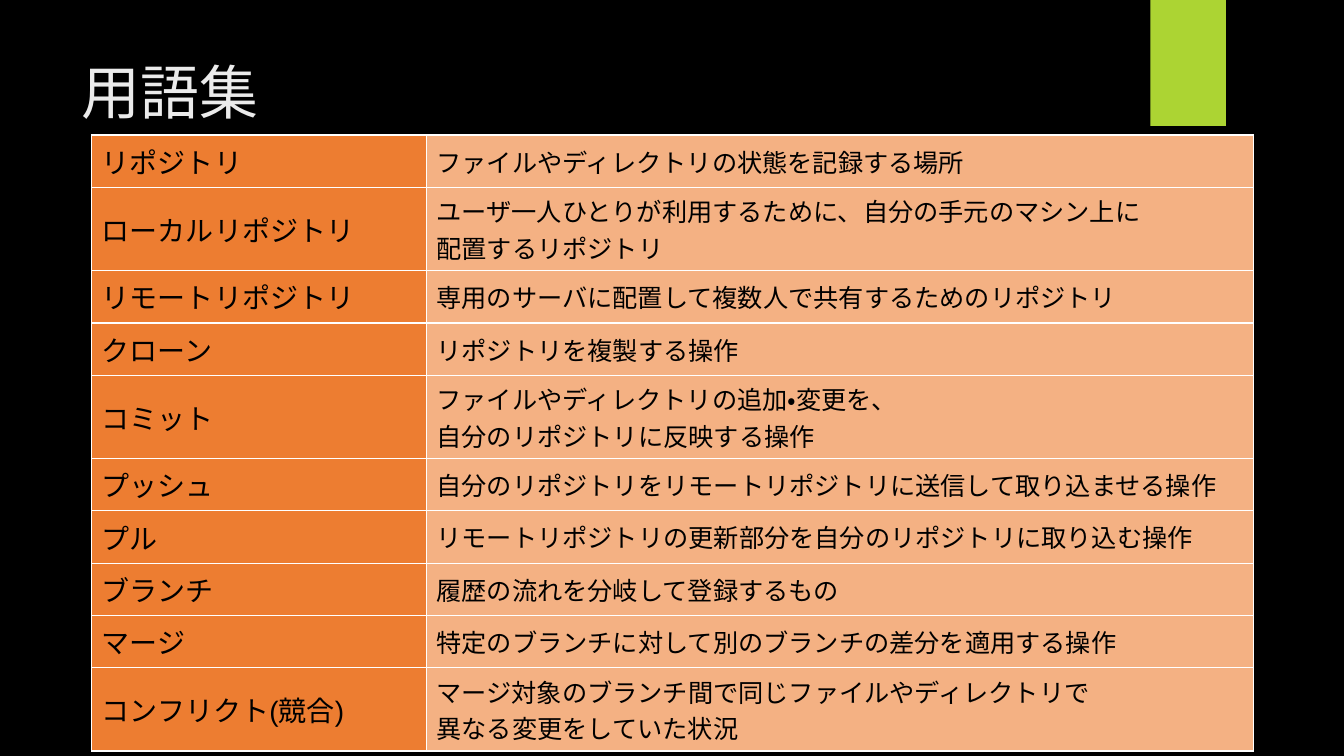
"""Build the glossary slide: a title, a green tab and a two-column table of terms."""
from lxml import etree
from pptx import Presentation
from pptx.dml.color import RGBColor
from pptx.enum.lang import MSO_LANGUAGE_ID
from pptx.enum.shapes import MSO_SHAPE
from pptx.enum.text import MSO_ANCHOR, MSO_AUTO_SIZE, PP_ALIGN
from pptx.oxml.ns import qn
from pptx.util import Inches, Pt

RECTANGLE = MSO_SHAPE.RECTANGLE
TOP, MIDDLE = MSO_ANCHOR.TOP, MSO_ANCHOR.MIDDLE
LEFT = PP_ALIGN.LEFT
NO_FIT = MSO_AUTO_SIZE.NONE
JAPANESE = MSO_LANGUAGE_ID.JAPANESE

COLORS = {
    "background": "000000",
    "title": "EBEBEB",
    "tab": "ACD433",
    "term": "ED7D31",
    "meaning": "F4B183",
    "text": "000000",
    "border": "FFFFFF",
}
ARIAL, SPARTAN = "Arial", "League Spartan"
COLUMN_WIDTHS = (3.32, 8.2)
ROW_HEIGHTS = {1: 0.52, 2: 0.74}

GLOSSARY = [
    ("リポジトリ", SPARTAN, ["ファイルやディレクトリの状態を記録する場所"]),
    ("ローカルリポジトリ", SPARTAN,
     ["ユーザ一人ひとりが利用するために、自分の手元のマシン上に", "配置するリポジトリ"]),
    ("リモートリポジトリ", SPARTAN, ["専用のサーバに配置して複数人で共有するためのリポジトリ"]),
    ("クローン", ARIAL, ["リポジトリを複製する操作"]),
    ("コミット", SPARTAN,
     ["ファイルやディレクトリの追加・変更を、", "自分のリポジトリに反映する操作"]),
    ("プッシュ", ARIAL, ["自分のリポジトリをリモートリポジトリに送信して取り込ませる操作"]),
    ("プル", ARIAL, ["リモートリポジトリの更新部分を自分のリポジトリに取り込む操作"]),
    ("ブランチ", ARIAL, ["履歴の流れを分岐して登録するもの"]),
    ("マージ", ARIAL, ["特定のブランチに対して別のブランチの差分を適用する操作"]),
    ("コンフリクト(競合)", ARIAL,
     ["マージ対象のブランチ間で同じファイルやディレクトリで", "異なる変更をしていた状況"]),
]


def write_text(frame, lines, *, size, font, color, anchor):
    """Fill a text frame with one left-aligned paragraph per line."""
    frame.vertical_anchor = anchor
    for index, line in enumerate(lines):
        para = frame.add_paragraph() if index else frame.paragraphs[0]
        para.alignment = LEFT
        span = para.add_run()
        span.text = line
        span.font.size = Pt(size)
        span.font.name = font
        span.font.bold = False
        span.font.language_id = JAPANESE
        span.font.color.rgb = RGBColor.from_string(COLORS[color])


def add_borders(cell):
    """Draw a thin line on all four sides of a table cell."""
    properties = cell._tc.get_or_add_tcPr()
    for side in ("a:lnL", "a:lnR", "a:lnT", "a:lnB"):
        line = etree.SubElement(properties, qn(side), w=str(Pt(1)))
        fill = etree.SubElement(line, qn("a:solidFill"))
        etree.SubElement(fill, qn("a:srgbClr"), val=COLORS["border"])


deck = Presentation()
deck.slide_width, deck.slide_height = Inches(13.33), Inches(7.5)
page = deck.slides.add_slide(deck.slide_layouts[5])
page.background.fill.solid()
page.background.fill.fore_color.rgb = RGBColor.from_string(COLORS["background"])

tab = page.shapes.add_shape(RECTANGLE, Inches(11.41), 0, Inches(0.75), Inches(1.25))
tab.shadow.inherit = False
tab.fill.solid()
tab.fill.fore_color.rgb = RGBColor.from_string(COLORS["tab"])
tab.line.fill.background()

title = page.shapes.title
title.left, title.top = Inches(0.71), Inches(0.5)
title.width, title.height = Inches(10.29), Inches(1.53)
title.text_frame.auto_size = NO_FIT
write_text(title.text_frame, ["用語集"], size=42, font=SPARTAN, color="title", anchor=TOP)

heights = [ROW_HEIGHTS[len(meaning)] for _, _, meaning in GLOSSARY]
table = page.shapes.add_table(
    len(GLOSSARY), len(COLUMN_WIDTHS), Inches(0.91), Inches(1.34),
    Inches(sum(COLUMN_WIDTHS)), Inches(sum(heights))).table
table.first_row = False
table.horz_banding = False
for column, width in zip(table.columns, COLUMN_WIDTHS):
    column.width = Inches(width)

for row, height, (term, meaning_font, meaning) in zip(table.rows, heights, GLOSSARY):
    row.height = Inches(height)
    contents = [([term], 20, ARIAL, "term"), (meaning, 18, meaning_font, "meaning")]
    for cell, (lines, size, font, fill) in zip(row.cells, contents):
        add_borders(cell)
        cell.fill.solid()
        cell.fill.fore_color.rgb = RGBColor.from_string(COLORS[fill])
        cell.vertical_anchor = MIDDLE
        write_text(cell.text_frame, lines, size=size, font=font, color="text", anchor=MIDDLE)

deck.save("out.pptx")
